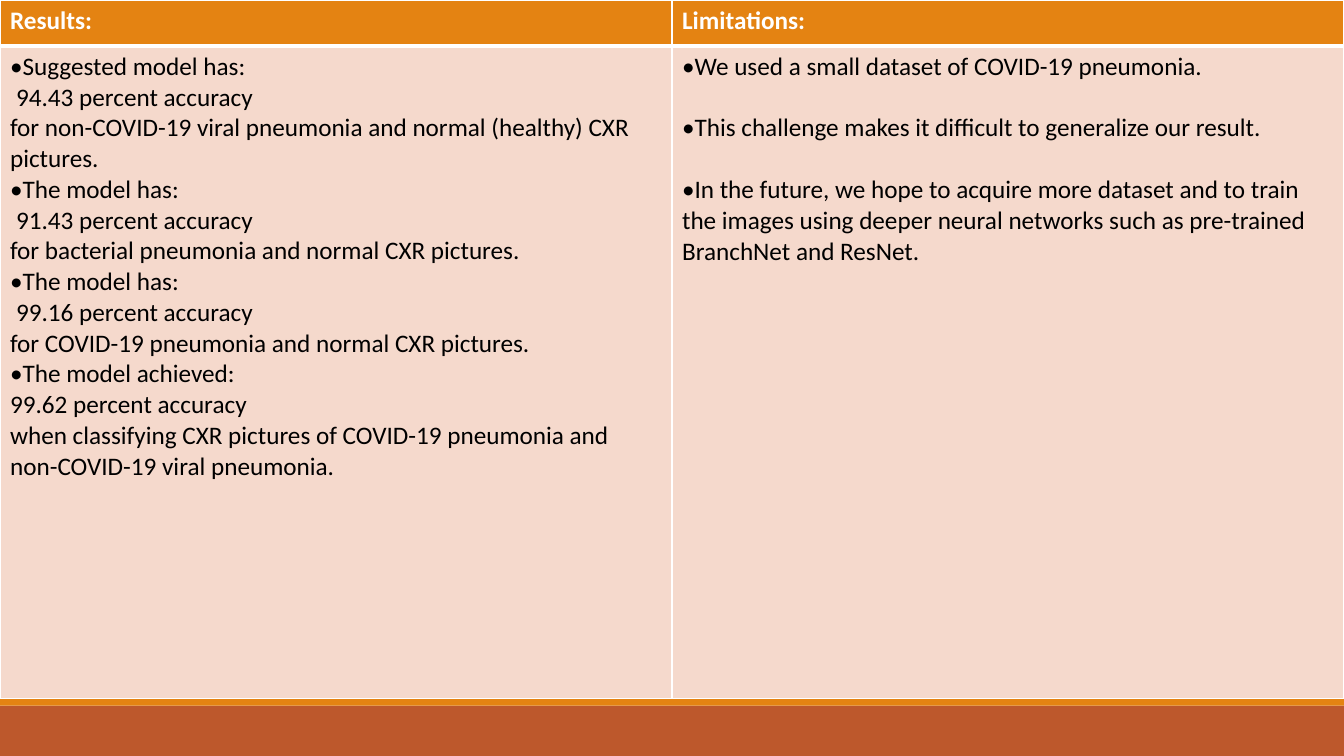
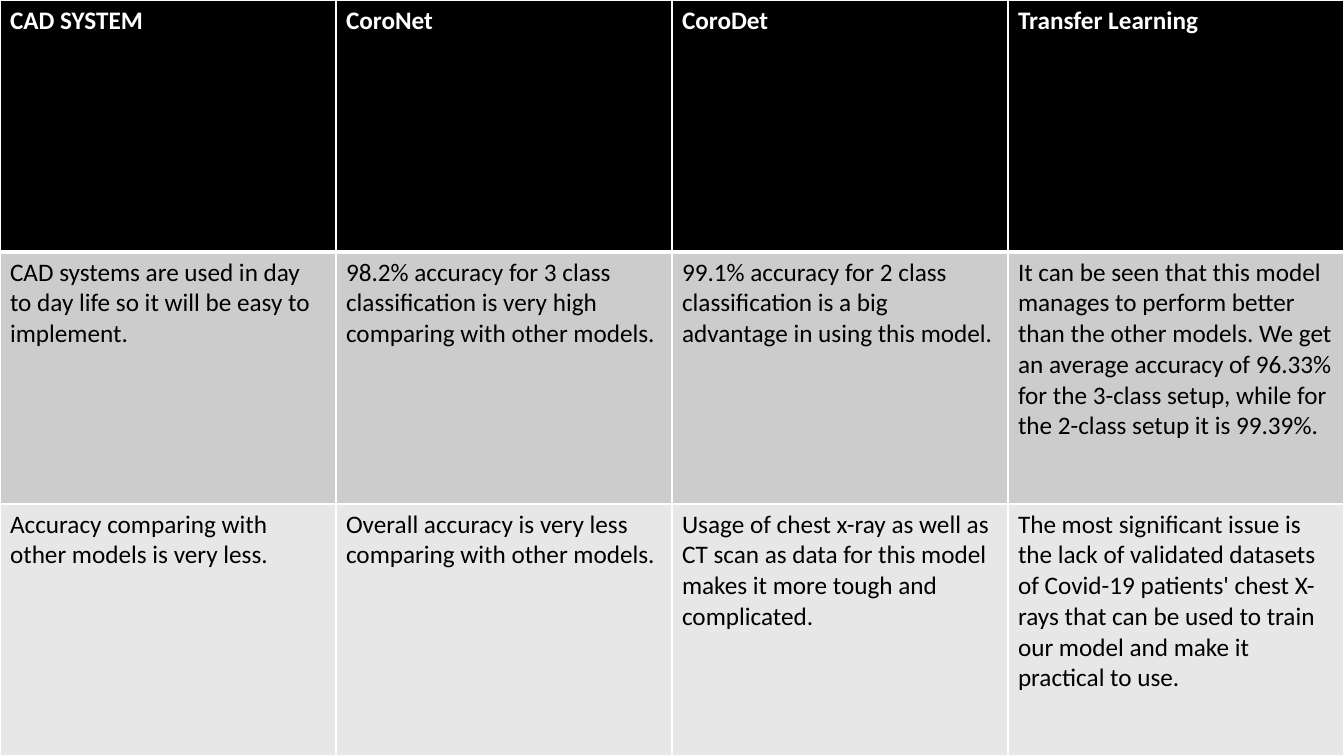
"""Build two table slides on the results and comparison of chest X-ray models."""
from dataclasses import dataclass

from lxml.etree import SubElement
from pptx import Presentation
from pptx.dml.color import RGBColor
from pptx.enum.shapes import MSO_SHAPE
from pptx.oxml.ns import qn
from pptx.util import Inches, Pt

FONT = "Calibri"
TEXT_SIZE = Pt(18)
WHITE = RGBColor(0xFF, 0xFF, 0xFF)
BLACK = RGBColor(0, 0, 0)
ORANGE = RGBColor(0xE4, 0x83, 0x12)
RUST = RGBColor(0xBD, 0x58, 0x2C)
PEACH = RGBColor(0xF5, 0xD9, 0xCC)
GREY = RGBColor(0xCC, 0xCC, 0xCC)
LIGHT_GREY = RGBColor(0xE7, 0xE7, 0xE7)

SLIDE_W, SLIDE_H = 13.33, 7.5
STRIPE_TOP, BAND_TOP = 6.93, 7
HEADER_H = 0.46
THIN, THICK = Pt(1), Pt(3)


@dataclass
class Para:
    """One paragraph of a cell, with its bullet, left indent and gap after."""
    text: str
    bullet: bool = False
    indent: float = 0
    gap: float = 0


def result(lead, accuracy, scope, indent=0.06):
    """Return the three paragraphs that report one accuracy figure."""
    return [Para(lead, bullet=True),
            Para(f"{accuracy} percent accuracy", indent=indent),
            Para(scope)]


RESULTS = [
    *result("Suggested model has:", "94.43",
            "for non-COVID-19 viral pneumonia and normal (healthy) CXR pictures."),
    *result("The model has:", "91.43",
            "for bacterial pneumonia and normal CXR pictures."),
    *result("The model has:", "99.16",
            "for COVID-19 pneumonia and normal CXR pictures."),
    *result("The model achieved:", "99.62",
            "when classifying CXR pictures of COVID-19 pneumonia and "
            "non-COVID-19 viral pneumonia.", indent=0),
]

LIMITATIONS = [
    Para("We used a small dataset of COVID-19 pneumonia.", bullet=True, gap=22),
    Para("This challenge makes it difficult to generalize our result.",
         bullet=True, gap=22),
    Para("In the future, we hope to acquire more dataset and to train the images "
         "using deeper neural networks such as pre-trained BranchNet and ResNet.",
         bullet=True),
]

FINDINGS = [
    [[Para("Results:")], [Para("Limitations:")]],
    [RESULTS, LIMITATIONS],
]

COMPARISON = [[[Para(text)] for text in row] for row in [
    ["CAD SYSTEM", "CoroNet", "CoroDet", "Transfer Learning"],
    ["CAD systems are used in day to day life so it will be easy to implement.",
     "98.2% accuracy for 3 class classification is very high comparing with "
     "other models.",
     "99.1% accuracy for 2 class classification is a big advantage in using "
     "this model.",
     "It can be seen that this model manages to perform better than the other "
     "models. We get an average accuracy of 96.33% for the 3-class setup, while "
     "for the 2-class setup it is 99.39%."],
    ["Accuracy comparing with other models is very less.",
     "Overall accuracy is very less comparing with other models.",
     "Usage of chest x-ray as well as CT scan as data for this model makes it "
     "more tough and complicated.",
     "The most significant issue is the lack of validated datasets of Covid-19 "
     "patients' chest X-rays that can be used to train our model and make it "
     "practical to use."],
]]


def add_band(s, layout, top, height, color):
    """Draw a full-width band and move it to the shared layout."""
    sp = s.shapes.add_shape(MSO_SHAPE.RECTANGLE, 0, Inches(top),
                            Inches(SLIDE_W), Inches(height))
    sp.shadow.inherit = False
    sp.fill.solid()
    sp.fill.fore_color.rgb = color
    sp.line.fill.background()
    layout.shapes.element.append(sp.element)


def set_borders(cell, top, bottom):
    """Give a cell white borders, with the top and bottom widths given."""
    tc_pr = cell._tc.get_or_add_tcPr()
    for side, width in zip("LRTB", (THIN, THIN, top, bottom)):
        ln = SubElement(tc_pr, qn(f"a:ln{side}"), w=str(int(width)))
        fill = SubElement(ln, qn("a:solidFill"))
        SubElement(fill, qn("a:srgbClr"), val=str(WHITE))


def set_bullet(p):
    """Put a bullet in front of a paragraph."""
    p_pr = p._p.get_or_add_pPr()
    SubElement(p_pr, qn("a:buFont"), typeface=FONT)
    SubElement(p_pr, qn("a:buChar"), char="•")


def write_cell(cell, paras, color, bold):
    """Write the paragraphs of a cell."""
    tf = cell.text_frame
    for i, para in enumerate(paras):
        p = tf.add_paragraph() if i else tf.paragraphs[0]
        p.text = para.text
        p_pr = p._p.get_or_add_pPr()
        p_pr.set("marL", str(Inches(para.indent)))
        p_pr.set("indent", "0")
        if para.bullet:
            set_bullet(p)
        p.space_after = Pt(para.gap)
        p.font.name = FONT
        p.font.size = TEXT_SIZE
        p.font.bold = bold
        p.font.color.rgb = color


def add_text_table(s, rows, heights, fills):
    """Add a full-width table with equal columns and a bold white header."""
    n_cols = len(rows[0])
    table = s.shapes.add_table(len(rows), n_cols, 0, 0, Inches(SLIDE_W),
                               Inches(sum(heights))).table
    for column in table.columns:
        column.width = Inches(SLIDE_W / n_cols)
    for r, (row, height, fill) in enumerate(zip(rows, heights, fills)):
        table.rows[r].height = Inches(height)
        for c, paras in enumerate(row):
            cell = table.cell(r, c)
            set_borders(cell, THICK if r == 1 else THIN, THICK if r == 0 else THIN)
            cell.fill.solid()
            cell.fill.fore_color.rgb = fill
            write_cell(cell, paras, BLACK if r else WHITE, r == 0)


def main():
    """Build and save the presentation."""
    prs = Presentation()
    prs.slide_width, prs.slide_height = Inches(SLIDE_W), Inches(SLIDE_H)
    layout = prs.slide_layouts[6]
    for ph in list(layout.placeholders):
        layout.shapes.element.remove(ph.element)

    s = prs.slides.add_slide(layout)
    add_band(s, layout, BAND_TOP, SLIDE_H - BAND_TOP, RUST)
    add_band(s, layout, STRIPE_TOP, BAND_TOP - STRIPE_TOP, ORANGE)
    add_text_table(s, FINDINGS, [HEADER_H, STRIPE_TOP - HEADER_H], [ORANGE, PEACH])

    s = prs.slides.add_slide(layout)
    add_text_table(s, COMPARISON, [SLIDE_H / 3] * 3, [BLACK, GREY, LIGHT_GREY])

    prs.save("out.pptx")


if __name__ == "__main__":
    main()
